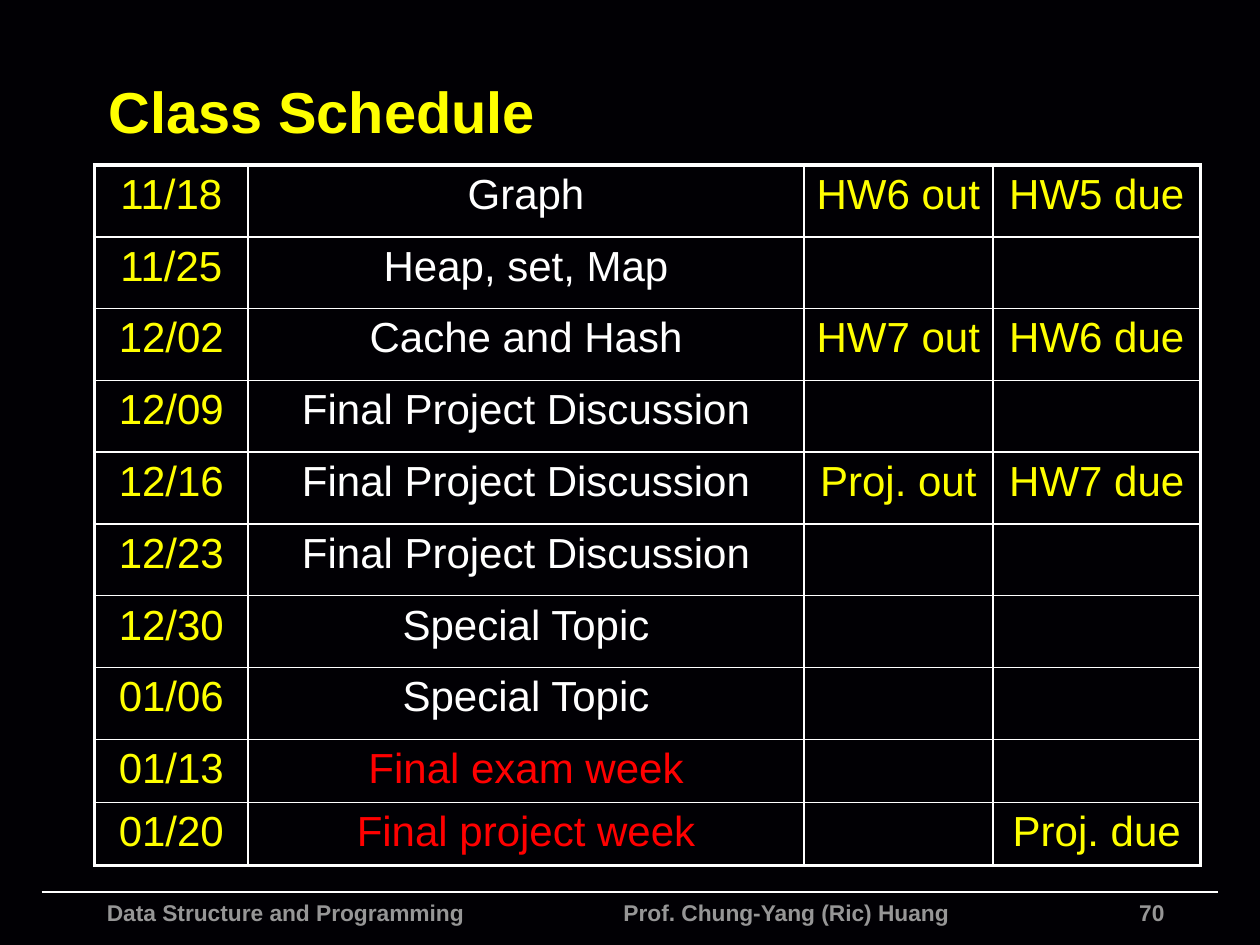
from lxml import etree
from pptx import Presentation
from pptx.dml.color import RGBColor
from pptx.enum.shapes import MSO_CONNECTOR
from pptx.enum.text import MSO_ANCHOR, PP_ALIGN
from pptx.oxml.ns import qn
from pptx.util import Inches, Pt

LEFT, CENTER, RIGHT = PP_ALIGN.LEFT, PP_ALIGN.CENTER, PP_ALIGN.RIGHT
MIDDLE = MSO_ANCHOR.MIDDLE
STRAIGHT = MSO_CONNECTOR.STRAIGHT

BACKGROUND = RGBColor(0x01, 0x00, 0x04)
WHITE = RGBColor(0xFF, 0xFF, 0xFF)
YELLOW = RGBColor(0xFF, 0xFF, 0x00)
RED = RGBColor(0xFF, 0x00, 0x00)
GRAY = RGBColor(0x96, 0x96, 0x96)
FONT = "Arial"

COLUMN_WIDTHS = [1.22, 4.41, 1.5, 1.65]
ROW_HEIGHTS = [0.57] * 8 + [0.47] * 2
INNER_BORDER, OUTER_BORDER = 1, 2.25
SCHEDULE = [
    ("11/18", "Graph", "HW6 out", "HW5 due"),
    ("11/25", "Heap, set, Map", "", ""),
    ("12/02", "Cache and Hash", "HW7 out", "HW6 due"),
    ("12/09", "Final Project Discussion", "", ""),
    ("12/16", "Final Project Discussion", "Proj. out", "HW7 due"),
    ("12/23", "Final Project Discussion", "", ""),
    ("12/30", "Special Topic", "", ""),
    ("01/06", "Special Topic", "", ""),
    ("01/13", "Final exam week", "", ""),
    ("01/20", "Final project week", "", "Proj. due"),
]
EXAM_TOPICS = {"Final exam week", "Final project week"}


def add_text(paragraph, text, size, color, bold=False, alignment=LEFT):
    paragraph.alignment = alignment
    run = paragraph.add_run()
    run.text = text
    run.font.name = FONT
    run.font.size = Pt(size)
    run.font.bold = bold
    run.font.color.rgb = color


def add_title(slide, left, top, width, height):
    title = slide.shapes.title
    title.left, title.top = Inches(left), Inches(top)
    title.width, title.height = Inches(width), Inches(height)
    title.text_frame.vertical_anchor = MIDDLE
    add_text(title.text_frame.paragraphs[0], "Class Schedule", 33, YELLOW, bold=True)


def set_borders(cell, widths):
    """Draw white borders; widths maps L, R, T and B to points."""
    properties = cell._tc.get_or_add_tcPr()
    for index, side in enumerate("LRTB"):
        line = etree.Element(qn(f"a:ln{side}"), w=str(Pt(widths[side])))
        fill = etree.SubElement(line, qn("a:solidFill"))
        etree.SubElement(fill, qn("a:srgbClr"), val=str(WHITE))
        properties.insert(index, line)


def add_schedule(slide, left, top):
    row_count, column_count = len(ROW_HEIGHTS), len(COLUMN_WIDTHS)
    table = slide.shapes.add_table(
        row_count, column_count, Inches(left), Inches(top),
        Inches(sum(COLUMN_WIDTHS)), Inches(sum(ROW_HEIGHTS))).table
    table.first_row = table.horz_banding = False
    for column, width in zip(table.columns, COLUMN_WIDTHS):
        column.width = Inches(width)

    for row_index, entries in enumerate(SCHEDULE):
        table.rows[row_index].height = Inches(ROW_HEIGHTS[row_index])
        for column_index, text in enumerate(entries):
            cell = table.cell(row_index, column_index)
            cell.margin_left = cell.margin_right = Inches(0.05)
            cell.margin_top = cell.margin_bottom = Inches(0.05)
            cell.fill.background()
            on_edge = {
                "L": column_index == 0,
                "R": column_index == column_count - 1,
                "T": row_index == 0,
                "B": row_index == row_count - 1,
            }
            set_borders(cell, {side: OUTER_BORDER if edge else INNER_BORDER
                               for side, edge in on_edge.items()})
            if text:
                color = YELLOW
                if column_index == 1:
                    color = RED if text in EXAM_TOPICS else WHITE
                add_text(cell.text_frame.paragraphs[0], text, 24, color,
                         alignment=CENTER)


def add_footer_text(slide, text, left, top, width, height, alignment=LEFT):
    box = slide.shapes.add_textbox(
        Inches(left), Inches(top), Inches(width), Inches(height))
    box.text_frame.word_wrap = True
    paragraph = box.text_frame.paragraphs[0]
    add_text(paragraph, text, 13, GRAY, bold=True, alignment=alignment)
    return paragraph


def add_footer(slide, left, top, width):
    rule = slide.shapes.add_connector(
        STRAIGHT, Inches(left), Inches(top), Inches(left + width), Inches(top))
    rule.line.color.rgb = WHITE
    rule.line.width = Pt(1)
    etree.SubElement(rule._element.spPr, qn("a:effectLst"))

    add_footer_text(slide, "70", left + 5.84, top, 3.17, 0.18, RIGHT)
    names = add_footer_text(
        slide, "Data Structure and Programming\tProf. Chung-Yang (Ric) Huang",
        left + 0.42, top, 7.24, 0.42)
    tab_stops = etree.SubElement(names._p.get_or_add_pPr(), qn("a:tabLst"))
    etree.SubElement(tab_stops, qn("a:tab"), pos=str(Inches(4.1)), algn="l")


def main():
    presentation = Presentation()
    presentation.slide_width, presentation.slide_height = Inches(10), Inches(7.5)
    slide = presentation.slides.add_slide(presentation.slide_layouts[5])
    slide.background.fill.solid()
    slide.background.fill.fore_color.rgb = BACKGROUND
    add_footer(slide, 0.33, 7.08, 9.34)
    add_title(slide, 0.76, 0.37, 8.84, 1.01)
    add_schedule(slide, 0.75, 1.31)
    presentation.save("out.pptx")


if __name__ == "__main__":
    main()
